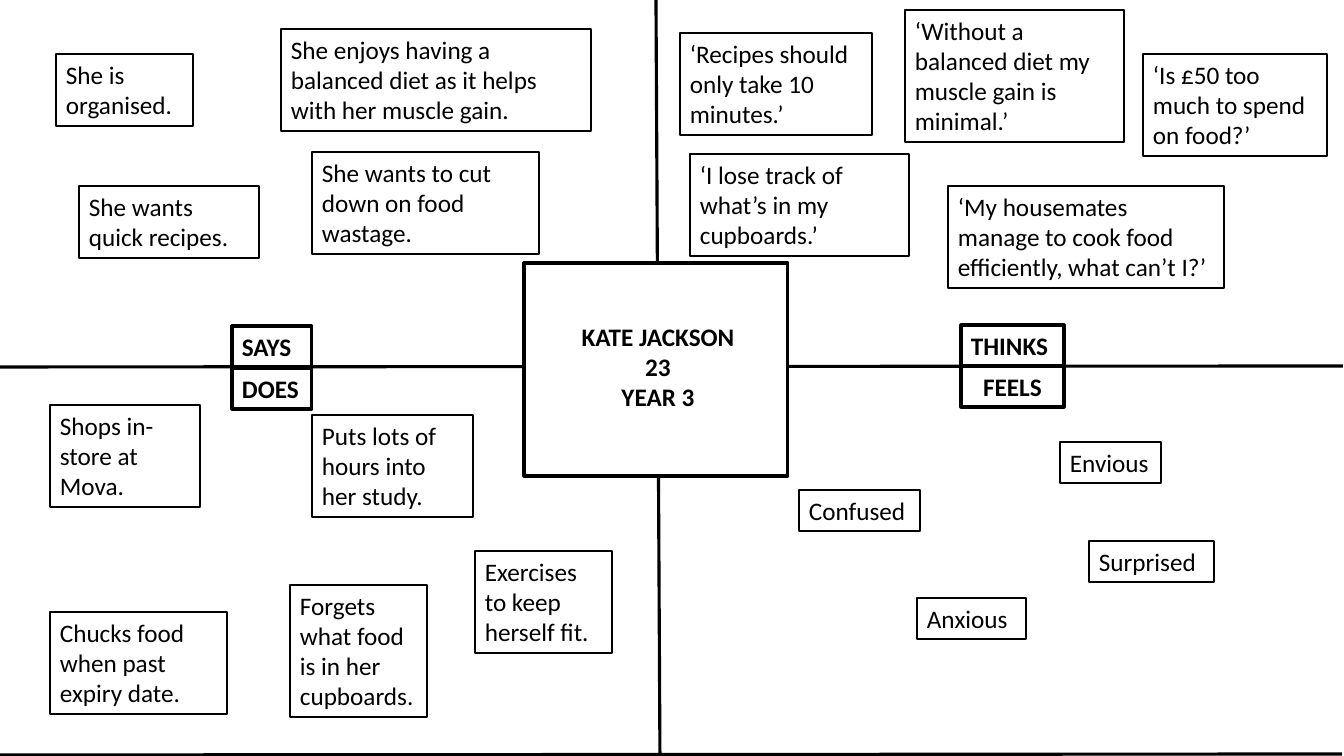
from pptx import Presentation
from pptx.dml.color import RGBColor
from pptx.enum.shapes import MSO_CONNECTOR, MSO_SHAPE
from pptx.enum.text import MSO_ANCHOR, MSO_AUTO_SIZE, PP_ALIGN
from pptx.oxml.ns import qn
from pptx.util import Emu, Pt
from lxml.etree import SubElement

WIDTH, HEIGHT = 1344, 756
BLACK, WHITE = "000000", "FFFFFF"
HEAVY, MEDIUM, THIN = 2.25, 1.5, 0.75


def px(length):
    """Turn slide pixels into EMU."""
    return Emu(round(length * 914400 / 100.8))


def color(code):
    """Turn a hex string into a colour."""
    return RGBColor.from_string(code)


def text_height(lines):
    """Return the height of a box that holds this many lines of text."""
    return round(11 + 30.3 * lines)


class EmpathyMap:
    """Holds the text style and the slide being drawn."""

    font, size = "Calibri", 18

    def __init__(self, slide):
        """Start on the given slide."""
        self.slide = slide

    def axis(self, start, end):
        """Draw a heavy line between two points."""
        line = self.slide.shapes.add_connector(
            MSO_CONNECTOR.STRAIGHT, *map(px, start + end))
        line.line.color.rgb = color(BLACK)
        line.line.width = Pt(HEAVY)
        SubElement(line._element.spPr, qn("a:effectLst"))

    def frame(self, box, weight, outline=BLACK, fill=None):
        """Draw an outlined rectangle and return it."""
        shape = self.slide.shapes.add_shape(MSO_SHAPE.RECTANGLE, *map(px, box))
        shape.shadow.inherit = False
        if fill:
            shape.fill.solid()
            shape.fill.fore_color.rgb = color(fill)
        else:
            shape.fill.background()
        shape.line.color.rgb = color(outline)
        shape.line.width = Pt(weight)
        return shape

    def note(self, left, top, width, rows, paragraphs, weight=MEDIUM,
             bold=False, align=PP_ALIGN.LEFT, outline=BLACK):
        """Draw a framed text whose height follows its number of rows."""
        box = (left, top, width, text_height(rows))
        frame = self.frame(box, weight, outline).text_frame
        frame.word_wrap = True
        frame.auto_size = MSO_AUTO_SIZE.SHAPE_TO_FIT_TEXT
        frame.vertical_anchor = MSO_ANCHOR.TOP
        for index, words in enumerate(paragraphs):
            paragraph = frame.add_paragraph() if index else frame.paragraphs[0]
            paragraph.alignment = align
            run = paragraph.add_run()
            run.text = words
            run.font.name, run.font.size = self.font, Pt(self.size)
            run.font.bold = bold
            run.font.color.rgb = color(BLACK)


QUADRANT_LABELS = [
    (961, 325, 103, "THINKS", PP_ALIGN.LEFT),
    (232, 326, 80, "SAYS", PP_ALIGN.LEFT),
    (961, 366, 103, "FEELS", PP_ALIGN.CENTER),
    (232, 368, 80, "DOES", PP_ALIGN.LEFT),
]

SAYS = [
    (56, 54, 137, 2, "She is organised."),
    (281, 29, 310, 3,
     "She enjoys having a balanced diet as it helps with her muscle gain."),
    (79, 186, 180, 2, "She wants quick recipes."),
    (312, 152, 227, 3, "She wants to cut down on food wastage."),
]
THINKS = [
    (680, 33, 192, 3, "‘Recipes should only take 10 minutes.’"),
    (905, 10, 219, 4, "‘Without a balanced diet my muscle gain is minimal.’"),
    (1143, 54, 184, 3, "‘Is £50 too much to spend on food?’"),
    (690, 154, 219, 3, "‘I lose track of what’s in my cupboards.’"),
    (948, 186, 276, 3,
     "‘My housemates manage to cook food efficiently, what can’t I?’"),
]
DOES = [
    (50, 405, 150, 3, "Shops in-store at Mova."),
    (312, 415, 161, 3, "Puts lots of hours into her study."),
    (475, 551, 137, 3, "Exercises to keep herself fit."),
    (290, 585, 137, 4, "Forgets what food is in her cupboards."),
    (50, 612, 177, 3, "Chucks food when past expiry date."),
]
FEELS = [
    (1060, 442, 101, 1, "Envious"),
    (799, 490, 121, 1, "Confused"),
    (1089, 541, 125, 1, "Surprised"),
    (917, 598, 109, 1, "Anxious"),
]

deck = Presentation()
deck.slide_width, deck.slide_height = px(WIDTH), px(HEIGHT)
empathy = EmpathyMap(deck.slides.add_slide(deck.slide_layouts[6]))

empathy.axis((656, 0), (660, HEIGHT))
empathy.axis((0, 367), (1343, 366))
empathy.axis((0, 755), (1342, 754))

empathy.frame((524, 263, 264, 213), HEAVY, fill=WHITE)
empathy.note(543, 316, 230, 3, ["KATE JACKSON", "23", "YEAR 3"], THIN,
             bold=True, align=PP_ALIGN.CENTER, outline=WHITE)

for left, top, width, label, align in QUADRANT_LABELS:
    empathy.note(left, top, width, 1, [label], HEAVY, bold=True, align=align)

for left, top, width, rows, remark in SAYS + THINKS + DOES + FEELS:
    empathy.note(left, top, width, rows, [remark])

deck.save("out.pptx")
